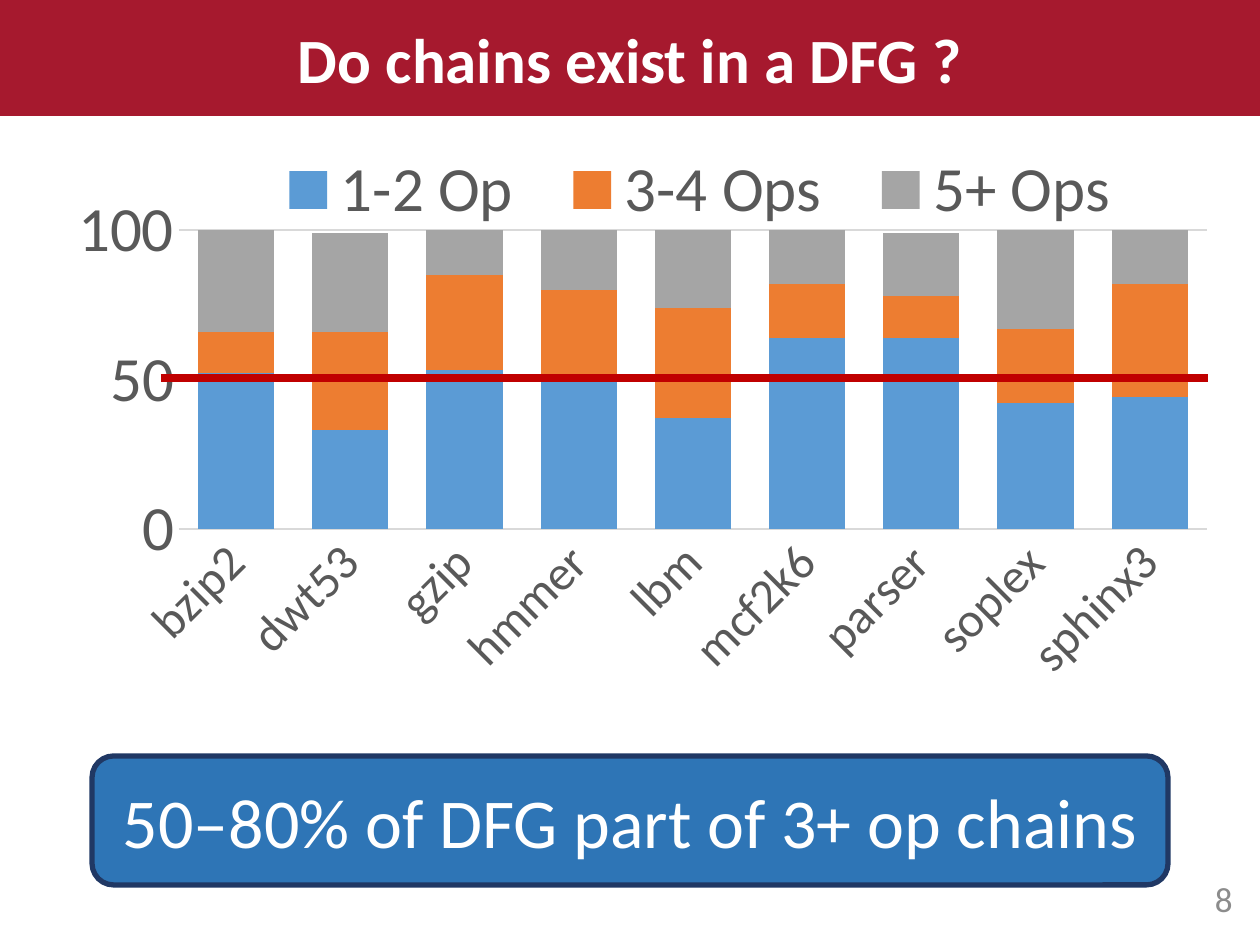
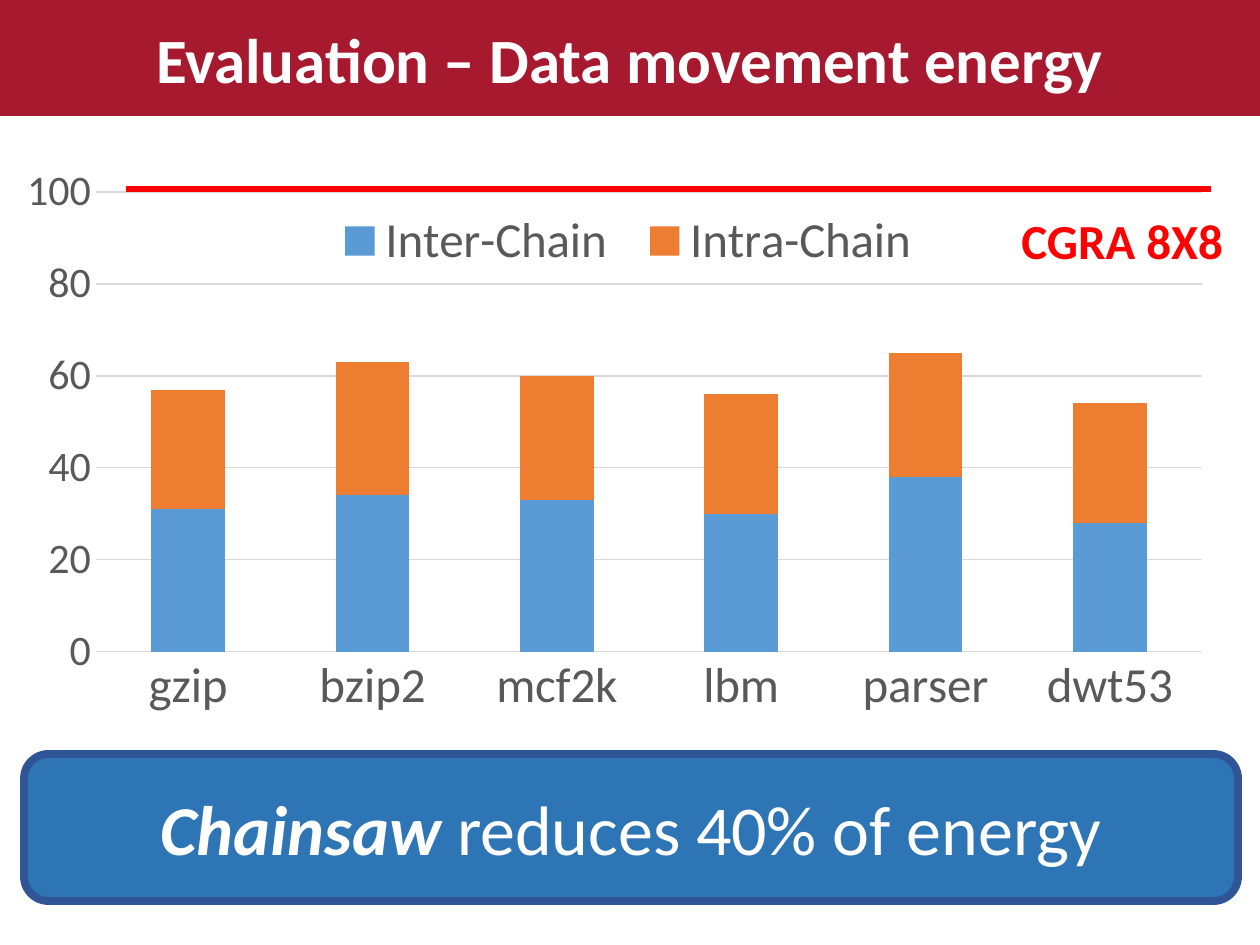
from dataclasses import dataclass

from lxml.etree import SubElement
from pptx import Presentation
from pptx.chart.data import CategoryChartData
from pptx.dml.color import RGBColor
from pptx.enum.chart import XL_CHART_TYPE as ChartType, XL_LEGEND_POSITION as LegendSpot
from pptx.enum.chart import XL_TICK_MARK as TickMark
from pptx.enum.shapes import MSO_CONNECTOR as Connector, MSO_SHAPE as Shape
from pptx.enum.text import MSO_ANCHOR as Anchor, MSO_AUTO_SIZE as AutoSize, PP_ALIGN as Align
from pptx.oxml.ns import qn
from pptx.util import Emu, Pt

PX_PER_INCH = 126
EMU_PER_PX = 914400 / PX_PER_INCH
PAGE = (1260, 945)
TITLE_BAND = (0, 0, 1260, 116)
TITLE_ONLY = 5


@dataclass(frozen=True)
class Theme:
    font: str = "Calibri"
    band: str = "A6192E"
    callout: str = "2E75B6"
    white: str = "FFFFFF"
    chart_text: str = "595959"
    grid: str = "D9D9D9"
    number: str = "8C8C8C"
    red: str = "FF0000"
    series: tuple = ("5B9BD5", "ED7D31", "A5A5A5")
    title_size: int = 36
    callout_size: int = 40
    number_size: int = 20
    label_size: int = 28
    grid_width: float = 0.75


THEME = Theme()

# Boxes are (left, top, width, height) in px; each callout span is (text, extra format).
PAGES = [
    {
        "title": "Do chains exist in a DFG ?",
        "chart": {
            "box": (2, 137, 1225, 597),
            "plot": (179, 230, 1028, 299),
            "legend": (250, 150, 900, 80),
            "names": ["bzip2", "dwt53", "gzip", "hmmer", "lbm", "mcf2k6", "parser",
                      "soplex", "sphinx3"],
            "series": {
                "1-2 Op": [52, 33, 53, 51, 37, 64, 64, 42, 44],
                "3-4 Ops": [14, 33, 32, 29, 37, 18, 14, 25, 38],
                "5+ Ops": [34, 33, 16, 20, 26, 18, 21, 33, 19],
            },
            "gap": 50, "step": 50, "turn": -45,
            "sizes": {"names": 28, "values": 36, "legend": 36},
        },
        "mark": {"left": 161, "right": 1208, "y": 378, "color": "C00000", "width": 4.5},
        "callout": {"box": (92, 756, 1076, 129), "line": "203864", "width": 3,
                    "spans": [("50–80% of DFG part of 3+ op chains", {})]},
        "number": {"text": "8", "box": (961, 873, 284, 50)},
    },
    {
        "title": "Evaluation – Data movement energy",
        "chart": {
            "box": (24, 166, 1197, 587),
            "plot": (96, 192, 1106, 460),
            "legend": (318, 208, 620, 66),
            "names": ["gzip", "bzip2", "mcf2k", "lbm", "parser", "dwt53"],
            "series": {
                "Inter-Chain": [31, 34, 33, 30, 38, 28],
                "Intra-Chain": [26, 29, 27, 26, 27, 26],
            },
            "gap": 150, "step": 20, "turn": 0,
            "sizes": {"names": 28, "values": 24, "legend": 28},
        },
        "mark": {"left": 126, "right": 1211, "y": 189, "color": THEME.red, "width": 3},
        "callout": {"box": (24, 754, 1214, 147), "line": "2F5597", "width": 4.5,
                    "spans": [("Chainsaw ", {"bold": True, "italic": True}),
                              ("reduces 40% of energy", {})]},
        "label": {"text": "CGRA 8X8", "box": (1009, 204, 229, 72)},
    },
]


def px(length):
    return Emu(round(length * EMU_PER_PX))


def emu_box(box):
    return [px(length) for length in box]


def apply(target, **values):
    for name, value in values.items():
        setattr(target, name, value)


def style_font(font, size, color, **extra):
    apply(font, name=THEME.font, size=Pt(size), **extra)
    font.color.rgb = RGBColor.from_string(color)


def paint(fill, color):
    fill.solid()
    fill.fore_color.rgb = RGBColor.from_string(color)


def draw_line(line, color, width):
    paint(line.fill, color)
    line.width = Pt(width)


def write(box, spans, size, color, align, anchor=Anchor.MIDDLE, wrap=True, **extra):
    frame = box.text_frame
    apply(frame, word_wrap=wrap, vertical_anchor=anchor, auto_size=AutoSize.NONE)
    para = frame.paragraphs[0]
    para.alignment = align
    for text, emphasis in spans:
        span = para.add_run()
        span.text = text
        style_font(span.font, size, color, **extra, **emphasis)


def add_title(page, text):
    title = page.shapes.title
    apply(title, **dict(zip(("left", "top", "width", "height"), emu_box(TITLE_BAND))))
    paint(title.fill, THEME.band)
    write(title, [(text, {})], THEME.title_size, THEME.white, Align.CENTER, bold=True)


def add_callout(page, box, line, width, spans):
    callout = page.shapes.add_shape(Shape.ROUNDED_RECTANGLE, *emu_box(box))
    callout.shadow.inherit = False
    paint(callout.fill, THEME.callout)
    draw_line(callout.line, line, width)
    write(callout, spans, THEME.callout_size, THEME.white, Align.CENTER)


def add_mark(page, left, right, y, color, width):
    """Draw the horizontal reference line across the bars."""
    mark = page.shapes.add_connector(Connector.STRAIGHT, *emu_box((left, y, right, y)))
    draw_line(mark.line, color, width)
    SubElement(mark.element.spPr, qn("a:effectLst"))


def set_layout(parent, index, box, chart_box, inner=False):
    """Fix a chart part at a page box, given as fractions of the chart."""
    for old in parent.findall(qn("c:layout")):
        parent.remove(old)
    layout = SubElement(parent, qn("c:layout"))
    parent.insert(index, layout)
    manual = SubElement(layout, qn("c:manualLayout"))
    left, top, width, height = chart_box
    values = {"layoutTarget": "inner"} if inner else {}
    values.update(xMode="edge", yMode="edge",
                  x=(box[0] - left) / width, y=(box[1] - top) / height,
                  w=box[2] / width, h=box[3] / height)
    for name, value in values.items():
        SubElement(manual, qn(f"c:{name}")).set("val", str(value))


def style_axes(chart, info):
    names, values = chart.category_axis, chart.value_axis
    for axis, key in ((names, "names"), (values, "values")):
        apply(axis, major_tick_mark=TickMark.NONE, minor_tick_mark=TickMark.NONE)
        style_font(axis.tick_labels.font, info["sizes"][key], THEME.chart_text)
    draw_line(names.format.line, THEME.grid, THEME.grid_width)
    turn = names.tick_labels.font._element.getparent().getparent().getparent()
    turn.find(qn("a:bodyPr")).set("rot", str(info["turn"] * 60000))
    apply(values, minimum_scale=0, maximum_scale=100, major_unit=info["step"],
          has_major_gridlines=True)
    values.format.line.fill.background()
    draw_line(values.major_gridlines.format.line, THEME.grid, THEME.grid_width)


def add_stacked_chart(page, info):
    data = CategoryChartData()
    data.categories = info["names"]
    for name, values in info["series"].items():
        data.add_series(name, values)
    chart = page.shapes.add_chart(
        ChartType.COLUMN_STACKED, *emu_box(info["box"]), data).chart
    apply(chart, has_title=False, has_legend=True)
    style_font(chart.font, 10, "000000")
    style_axes(chart, info)

    plot = chart.plots[0]
    apply(plot, gap_width=info["gap"], overlap=100, vary_by_categories=False)
    for series, color in zip(plot.series, THEME.series):
        paint(series.format.fill, color)

    legend = chart.legend
    apply(legend, position=LegendSpot.TOP, include_in_layout=False)
    style_font(legend.font, info["sizes"]["legend"], THEME.chart_text)
    plot_area = chart.element.find(".//" + qn("c:plotArea"))
    legend_part = chart.element.find(".//" + qn("c:legend"))
    set_layout(plot_area, 0, info["plot"], info["box"], inner=True)
    set_layout(legend_part, 1, info["legend"], info["box"])


def add_text(page, text, box, *style, **extra):
    write(page.shapes.add_textbox(*emu_box(box)), [(text, {})], *style, **extra)


def build_page(deck, content):
    page = deck.slides.add_slide(deck.slide_layouts[TITLE_ONLY])
    add_title(page, content["title"])
    add_callout(page, **content["callout"])
    add_stacked_chart(page, content["chart"])
    add_mark(page, **content["mark"])
    if "number" in content:
        add_text(page, **content["number"], size=THEME.number_size,
                 color=THEME.number, align=Align.RIGHT)
    if "label" in content:
        add_text(page, **content["label"], size=THEME.label_size, color=THEME.red,
                 align=Align.LEFT, anchor=Anchor.TOP, wrap=False, bold=True)


def main():
    deck = Presentation()
    deck.slide_width, deck.slide_height = emu_box(PAGE)
    for content in PAGES:
        build_page(deck, content)
    deck.save("out.pptx")


if __name__ == "__main__":
    main()
